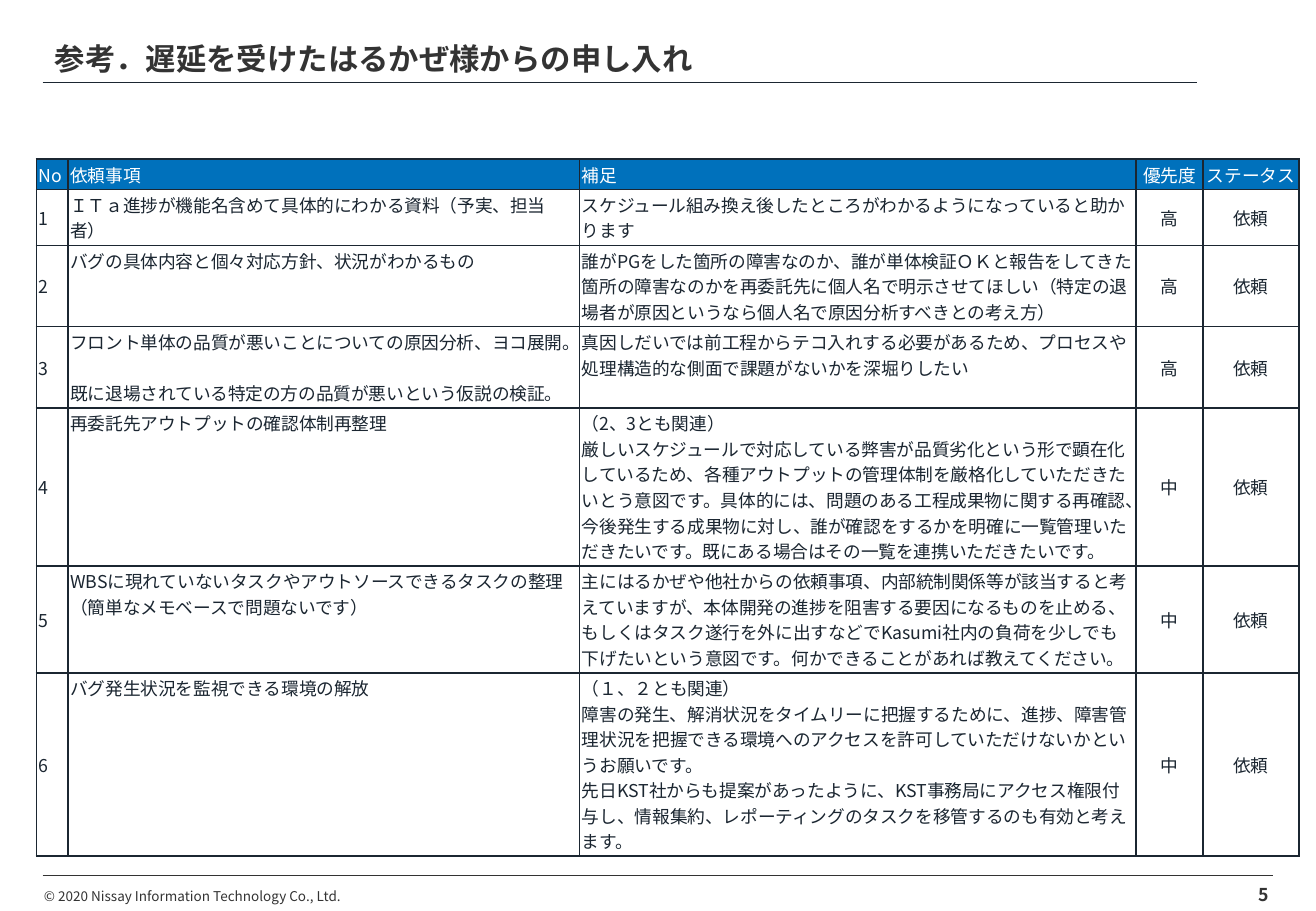
from copy import deepcopy
from dataclasses import dataclass

from lxml.etree import SubElement
from pptx import Presentation
from pptx.dml.color import RGBColor
from pptx.enum.lang import MSO_LANGUAGE_ID
from pptx.enum.shapes import MSO_CONNECTOR
from pptx.enum.text import MSO_ANCHOR, MSO_AUTO_SIZE, PP_ALIGN
from pptx.oxml.ns import qn
from pptx.util import Inches, Pt

# Content
TITLE = "参考．遅延を受けたはるかぜ様からの申し入れ"
COPYRIGHT = "© 2020 Nissay Information Technology Co., Ltd."
PAGE_NUMBER = "5"
HEADERS = ["No", "依頼事項", "補足", "優先度", "ステータス"]
STATUS = "依頼"
REQUESTS = [
    ("ＩＴａ進捗が機能名含めて具体的にわかる資料（予実、担当者）",
     "スケジュール組み換え後したところがわかるようになっていると助かります", "高"),
    ("バグの具体内容と個々対応方針、状況がわかるもの",
     "誰がPGをした箇所の障害なのか、誰が単体検証ＯＫと報告をしてきた箇所の障害なのかを"
     "再委託先に個人名で明示させてほしい（特定の退場者が原因というなら個人名で"
     "原因分析すべきとの考え方）", "高"),
    ("フロント単体の品質が悪いことについての原因分析、ヨコ展開。\n"
     "既に退場されている特定の方の品質が悪いという仮説の検証。",
     "真因しだいでは前工程からテコ入れする必要があるため、プロセスや処理構造的な側面で"
     "課題がないかを深堀りしたい", "高"),
    ("再委託先アウトプットの確認体制再整理",
     "（2、3とも関連）\n"
     "厳しいスケジュールで対応している弊害が品質劣化という形で顕在化しているため、"
     "各種アウトプットの管理体制を厳格化していただきたいとう意図です。具体的には、"
     "問題のある工程成果物に関する再確認、今後発生する成果物に対し、誰が確認をするかを"
     "明確に一覧管理いただきたいです。既にある場合はその一覧を連携いただきたいです。", "中"),
    ("WBSに現れていないタスクやアウトソースできるタスクの整理\n"
     "（簡単なメモベースで問題ないです）",
     "主にはるかぜや他社からの依頼事項、内部統制関係等が該当すると考えていますが、"
     "本体開発の進捗を阻害する要因になるものを止める、もしくはタスク遂行を外に出すなどで"
     "Kasumi社内の負荷を少しでも下げたいという意図です。"
     "何かできることがあれば教えてください。", "中"),
    ("バグ発生状況を監視できる環境の解放",
     "（１、２とも関連）\n"
     "障害の発生、解消状況をタイムリーに把握するために、進捗、障害管理状況を把握できる"
     "環境へのアクセスを許可していただけないかというお願いです。\n"
     "先日KST社からも提案があったように、KST事務局にアクセス権限付与し、情報集約、"
     "レポーティングのタスクを移管するのも有効と考えます。", "中"),
]
COLUMN_WIDTHS = [0.26, 4.21, 4.58, 0.55, 0.79]
ROW_HEIGHTS = [0.25, 0.46, 0.67, 0.67, 1.3, 0.88, 1.51]
LONG_TEXT_COLUMNS = (1, 2)
CENTRED_COLUMNS = (3, 4)


@dataclass(frozen=True)
class Theme:
    font: str = "Noto Sans CJK JP"
    ink: str = "1B2631"
    grey: str = "333333"
    header: str = "0071BC"
    white: str = "FFFFFF"
    title_size: float = 18
    table_size: float = 10.5
    footer_size: float = 8


THEME = Theme()


def write(frame, text, size, color, bold=False, align=PP_ALIGN.LEFT):
    para = frame.paragraphs[0]
    para.text = text
    para.alignment = align
    for span in para.runs:
        font = span.font
        font.name, font.size, font.bold = THEME.font, Pt(size), bold
        font.color.rgb = RGBColor.from_string(color)
        font.language_id = MSO_LANGUAGE_ID.JAPANESE
        SubElement(font._element, qn("a:ea"), typeface=THEME.font)
    # Line breaks take the format of the text around them
    for line_break in para._p.findall(qn("a:br")):
        line_break.append(deepcopy(para.runs[0].font._element))


def set_insets(frame, across, down):
    frame.margin_left = frame.margin_right = Inches(across)
    frame.margin_top = frame.margin_bottom = Inches(down)


def add_rule(page, left, right, top, color):
    rule = page.shapes.add_connector(
        MSO_CONNECTOR.STRAIGHT, Inches(left), Inches(top), Inches(right), Inches(top))
    rule.line.color.rgb = RGBColor.from_string(color)
    rule.line.width = Pt(0.5)
    SubElement(rule._element.spPr, qn("a:effectLst"))


def add_label(page, area, text, size, bold=False, align=PP_ALIGN.LEFT,
              anchor=MSO_ANCHOR.TOP, wrap=True):
    frame = page.shapes.add_textbox(*map(Inches, area)).text_frame
    frame.word_wrap = wrap
    frame.vertical_anchor = anchor
    set_insets(frame, 0.12, 0.06)
    write(frame, text, size, THEME.grey, bold, align)


def style_cell(cell, fill):
    set_insets(cell, 0.02, 0.02)
    properties = cell._tc.get_or_add_tcPr()
    for side in ("lnL", "lnR", "lnT", "lnB"):
        border = SubElement(properties, qn(f"a:{side}"), w=str(Pt(1)))
        solid = SubElement(border, qn("a:solidFill"))
        SubElement(solid, qn("a:srgbClr"), val=THEME.ink)
    cell.fill.solid()
    cell.fill.fore_color.rgb = RGBColor.from_string(fill)


def add_request_table(page):
    rows = [HEADERS] + [(str(number), *request, STATUS)
                        for number, request in enumerate(REQUESTS, 1)]
    table = page.shapes.add_table(
        len(rows), len(HEADERS), Inches(0.3), Inches(1.31),
        Inches(sum(COLUMN_WIDTHS)), Inches(sum(ROW_HEIGHTS))).table
    for column, width in zip(table.columns, COLUMN_WIDTHS):
        column.width = Inches(width)
    for row, height in zip(table.rows, ROW_HEIGHTS):
        row.height = Inches(height)
    for row_index, values in enumerate(rows):
        is_header = row_index == 0
        for column_index, text in enumerate(values):
            cell = table.cell(row_index, column_index)
            style_cell(cell, THEME.header if is_header else THEME.white)
            is_long = column_index in LONG_TEXT_COLUMNS and not is_header
            cell.vertical_anchor = MSO_ANCHOR.TOP if is_long else MSO_ANCHOR.MIDDLE
            align = PP_ALIGN.CENTER if column_index in CENTRED_COLUMNS else PP_ALIGN.LEFT
            write(cell.text_frame, text, THEME.table_size,
                  THEME.white if is_header else THEME.ink, align=align)


def main():
    deck = Presentation()
    deck.slide_width, deck.slide_height = Inches(10.83), Inches(7.5)
    page = deck.slides.add_slide(deck.slide_layouts[5])

    # Title and the two rules
    title = page.shapes.title
    title.left, title.top, title.width, title.height = map(Inches, (0.35, 0.29, 9.51, 0.38))
    title.text_frame.auto_size = MSO_AUTO_SIZE.NONE
    title.text_frame.vertical_anchor = MSO_ANCHOR.MIDDLE
    set_insets(title.text_frame, 0.1, 0)
    write(title.text_frame, TITLE, THEME.title_size, THEME.grey, bold=True)
    add_rule(page, 0.35, 9.85, 0.68, THEME.ink)
    add_rule(page, 0.35, 10.48, 7.21, THEME.grey)

    # Footer
    add_label(page, (0.24, 7.25, 3.02, 0.25), COPYRIGHT, THEME.footer_size, wrap=False)
    add_label(page, (8.71, 7.11, 1.85, 0.4), PAGE_NUMBER, THEME.table_size, bold=True,
              align=PP_ALIGN.RIGHT, anchor=MSO_ANCHOR.BOTTOM)

    # Requests
    add_request_table(page)
    deck.save("out.pptx")


if __name__ == "__main__":
    main()
